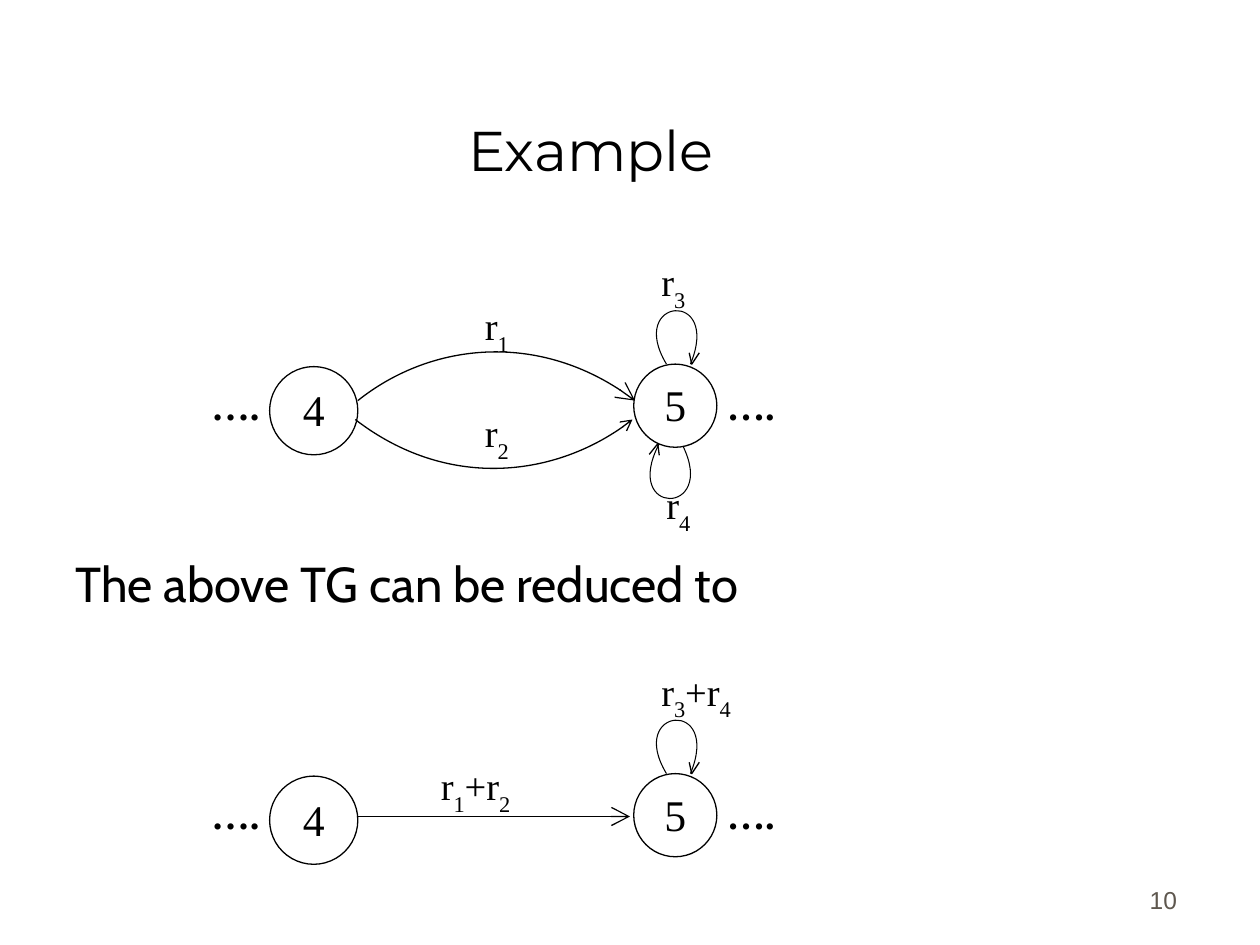
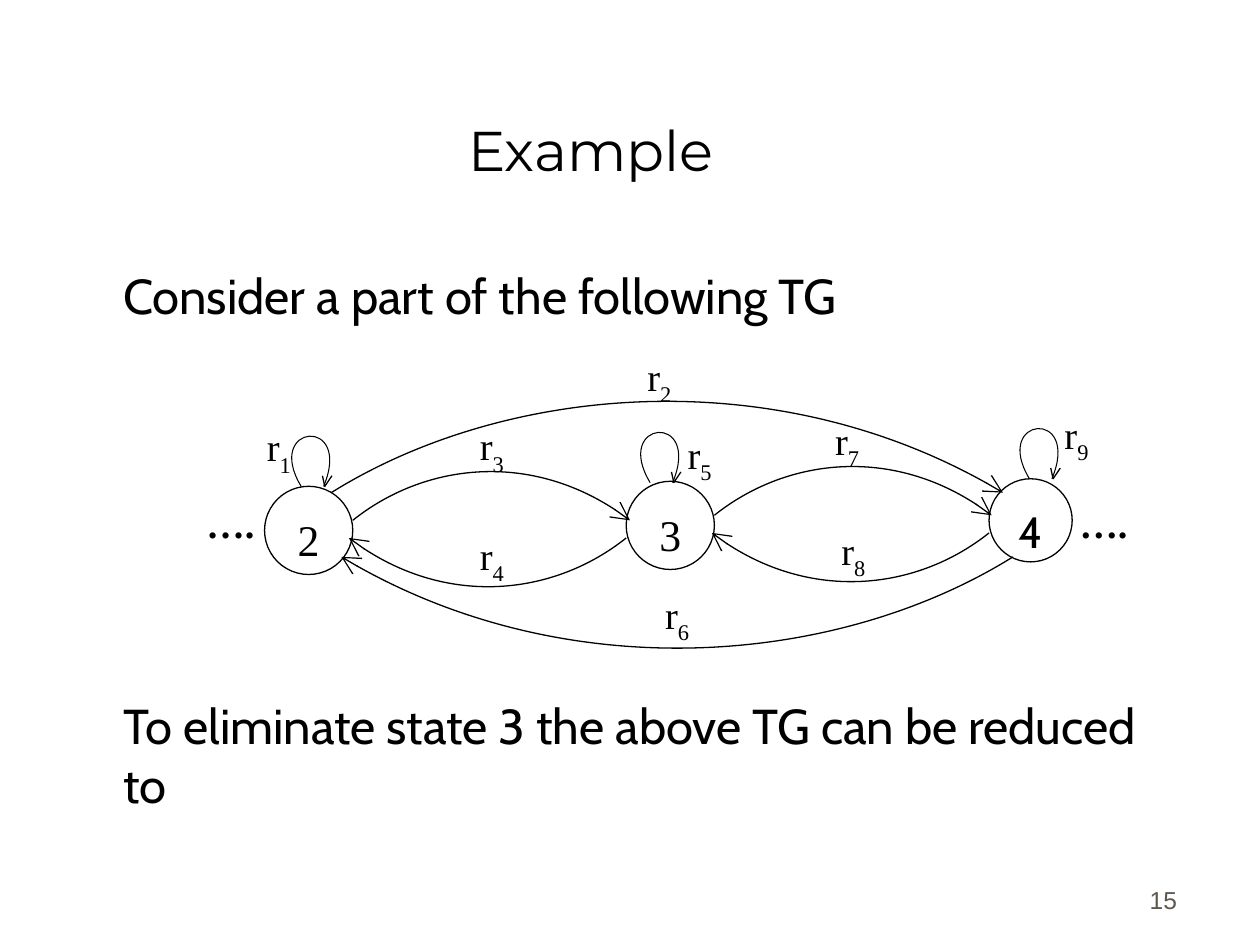
from itertools import groupby
from math import cos, radians, sin

from lxml.etree import SubElement
from pptx import Presentation
from pptx.dml.color import RGBColor
from pptx.enum.shapes import MSO_CONNECTOR as Connector
from pptx.enum.shapes import MSO_SHAPE as Preset
from pptx.enum.text import MSO_ANCHOR as Anchor
from pptx.enum.text import PP_ALIGN as Align
from pptx.oxml.ns import qn
from pptx.util import Inches, Pt

COLORS = {"ink": "000000", "paper": "FFFFFF", "number": "5E574E"}
FORMATS = {
    "title": {"name": "Montserrat", "size": Pt(32)},
    "body": {"name": "Cabin", "size": Pt(28)},
    "label": {"name": "Times New Roman", "size": Pt(22)},
    "dots": {"name": "Times New Roman", "size": Pt(22), "bold": True},
    "state": {"name": "Times New Roman", "size": Pt(25)},
    "sans state": {"name": "Cabin", "size": Pt(25)},
    "number": {"name": "Arial", "size": Pt(14)},
}
LOOP = [(0, 0), (-0.32, -0.53), (0.44, -0.6), (0.19, 0)]
LOOP_HEAD = [(0.26, -0.09), (0.2, 0), (0.18, -0.09)]
ARC = [(0, 0), (0.255, 0.8), (0.67, 1), (1, 0)]
SHORT, LONG = (2.2, 0.56), (5.33, 1.06)


def color(name):
    """Return the named colour."""
    return RGBColor.from_string(COLORS[name])


def add_text(slide, text, box, style, align=Align.LEFT, anchor=Anchor.TOP, ink="ink"):
    """Add a text box in one style and return its paragraph."""
    frame = slide.shapes.add_textbox(*map(Inches, box)).text_frame
    for key, value in {"word_wrap": True, "vertical_anchor": anchor}.items():
        setattr(frame, key, value)
    paragraph = frame.paragraphs[0]
    paragraph.alignment = align
    add_run(paragraph, text, style, ink)
    return paragraph


def add_run(paragraph, text, style, ink="ink"):
    """Append a formatted run and return it."""
    run = paragraph.add_run()
    run.text = text
    for key, value in FORMATS[style].items():
        setattr(run.font, key, value)
    run.font.color.rgb = color(ink)
    return run


def add_label(slide, text, left, top, width=0.76):
    """Add an edge label whose digits are subscripts."""
    pieces = ["".join(group) for _, group in groupby(text, str.isdigit)]
    paragraph = add_text(slide, pieces[0], (left, top, width, 0.42), "label")
    for piece in pieces[1:]:
        run = add_run(paragraph, piece, "label")
        if piece.isdigit():
            run.font._element.set("baseline", "-30000")


def add_dots(slide, left, top):
    """Add the dots that stand for the rest of the graph."""
    add_text(slide, "….", (left, top, 0.76, 0.42), "dots")


def add_state(slide, name, left, top, size, label_top, style="state"):
    """Add a state circle with its name."""
    circle = slide.shapes.add_shape(Preset.OVAL, *map(Inches, (left, top, size, size)))
    circle.shadow.inherit = False
    circle.fill.solid()
    circle.fill.fore_color.rgb = color("paper")
    set_line(circle)
    add_text(slide, name, (left, label_top, size, 0.42), style, Align.CENTER)


def set_line(shape, width=0.75, arrow=None, arrow_size="lg"):
    """Draw the outline in ink, with an optional arrowhead."""
    shape.line.color.rgb = color("ink")
    shape.line.width = Pt(width)
    if arrow:
        line = shape.line._get_or_add_ln()
        SubElement(line, qn(f"a:{arrow}"), type="arrow", w=arrow_size, len=arrow_size)


def add_stroke(slide, points, curved=False, **line):
    """Add an open outline, as straight segments or one cubic curve."""
    start, *rest = [tuple(map(Inches, point)) for point in points]
    builder = slide.shapes.build_freeform(*start)
    builder.add_line_segments(rest, close=False)
    stroke = builder.convert_to_shape()
    stroke.shadow.inherit = False
    stroke.fill.background()
    set_line(stroke, **line)
    if curved:
        segments = stroke._element.xpath(".//a:lnTo")
        curve = SubElement(segments[0].getparent(), qn("a:cubicBezTo"))
        for segment in segments:
            curve.append(segment[0])
            segment.getparent().remove(segment)


def add_arc(slide, left, top, extent=SHORT, back=False, arrow="tailEnd", arrow_size="lg"):
    """Add an arc going right above, or back to the left below."""
    sign = -1 if back else 1
    span, bulge = extent
    points = [(left + sign * x * span, top - sign * y * bulge) for x, y in ARC]
    add_stroke(slide, points, True, arrow=arrow, arrow_size=arrow_size)


def add_loop(slide, left, top, scale=1.0, turn=0):
    """Add a loop on a state, scaled and turned about its start."""
    across, down = scale * cos(radians(turn)), scale * sin(radians(turn))

    def place(points):
        """Move outline points to the loop's start."""
        return [(left + x * across - y * down, top + x * down + y * across) for x, y in points]

    add_stroke(slide, place(LOOP), True, width=0.6)
    add_stroke(slide, place(LOOP_HEAD))


def add_arrow(slide, start, end):
    """Add a straight arrow."""
    arrow = slide.shapes.add_connector(Connector.STRAIGHT, *map(Inches, start + end))
    set_line(arrow, arrow="tailEnd")
    SubElement(arrow._element.spPr, qn("a:effectLst"))


def add_example_slide(presentation, number):
    """Add a slide with the shared title and number."""
    slide = presentation.slides.add_slide(presentation.slide_layouts[6])
    add_text(slide, "Example", (0.44, 0.25, 8.5, 1.25), "title", Align.CENTER, Anchor.BOTTOM)
    add_text(slide, number, (7.36, 6.81, 2.08, 0.5), "number", Align.RIGHT, Anchor.BOTTOM, "number")
    return slide


def add_state_pair(slide, top):
    """Add states 4 and 5 with their dots and the upper loop."""
    add_state(slide, "4", 2.14, top + 0.02, 0.7, top + 0.1)
    add_state(slide, "5", 5.03, top, 0.66, top + 0.06)
    for left in (1.58, 5.67):
        add_dots(slide, left, top + 0.09)
    add_loop(slide, 5.29, top)


def build_parallel_edges(presentation):
    """Build the slide that merges parallel edges and loops."""
    slide = add_example_slide(presentation, "10")
    add_text(slide, "The above TG can be reduced to", (0.5, 4.34, 8.94, 0.57), "body")
    for top in (2.89, 6.14):
        add_state_pair(slide, top)
    add_arc(slide, 2.84, 3.18)
    add_arc(slide, 5.02, 3.33, back=True, arrow="headEnd", arrow_size="med")
    add_loop(slide, 5.42, 3.54, turn=185)
    add_arrow(slide, (2.83, 6.48), (5, 6.48))
    for text, left, top in (
        ("r1", 3.75, 2.35), ("r2", 3.75, 3.2), ("r3", 5.15, 2), ("r4", 5.19, 3.77),
    ):
        add_label(slide, text, left, top)
    add_label(slide, "r1+r2", 3.4, 6, 1.17)
    add_label(slide, "r3+r4", 5.15, 5.25, 0.91)


def build_state_elimination(presentation):
    """Build the slide that asks to eliminate state 3."""
    slide = add_example_slide(presentation, "15")
    add_text(slide, "Consider a part of the following TG", (0.88, 2.06, 8.56, 0.57), "body")
    add_text(slide, "To eliminate state 3 the above TG can be reduced to",
             (0.88, 5.47, 8.56, 1.05), "body")
    add_state(slide, "2", 2.1, 3.86, 0.7, 4.02)
    add_state(slide, "3", 4.97, 3.82, 0.7, 3.98)
    add_state(slide, "4", 7.85, 3.8, 0.66, 3.96, "sans state")
    for left in (1.54, 8.47):
        add_dots(slide, left, 3.92)
    for left, top in ((2.39, 3.86), (5.16, 3.83), (8.17, 3.8)):
        add_loop(slide, left, top, 0.94)
    for left, top in ((2.8, 4.13), (5.67, 4.09)):
        add_arc(slide, left, top)
    for left, top in ((4.97, 4.27), (7.85, 4.23)):
        add_arc(slide, left, top, back=True)
    add_arc(slide, 2.63, 3.91, LONG)
    add_arc(slide, 8.04, 4.42, LONG, back=True)
    for text, left, top in (
        ("r1", 2.02, 3.31), ("r2", 5.04, 2.75), ("r3", 3.71, 3.3),
        ("r4", 3.71, 4.17), ("r5", 5.36, 3.37), ("r6", 5.18, 4.64),
        ("r7", 6.53, 3.26), ("r8", 6.58, 4.13), ("r9", 8.35, 3.21),
    ):
        add_label(slide, text, left, top)


def main():
    """Build and save the presentation."""
    presentation = Presentation()
    presentation.slide_width, presentation.slide_height = Inches(10), Inches(7.5)
    build_parallel_edges(presentation)
    build_state_elimination(presentation)
    presentation.save("out.pptx")


if __name__ == "__main__":
    main()
